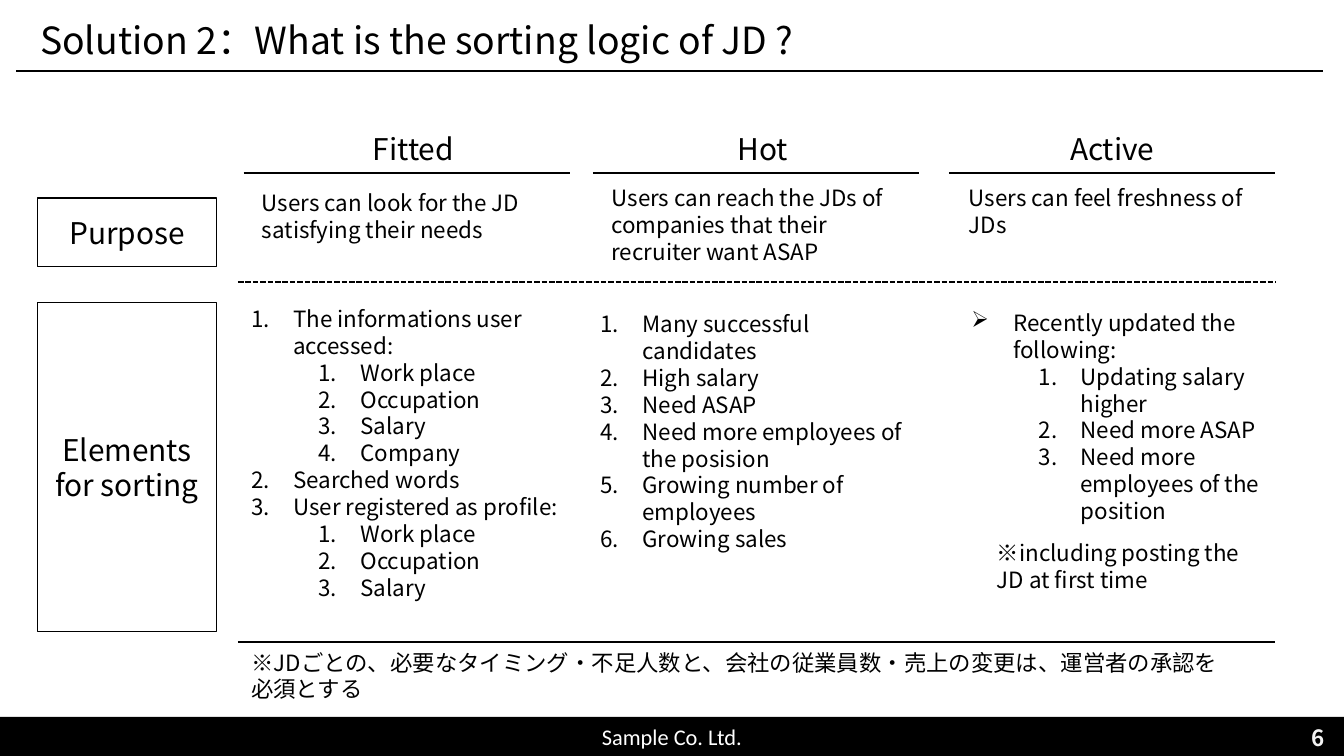
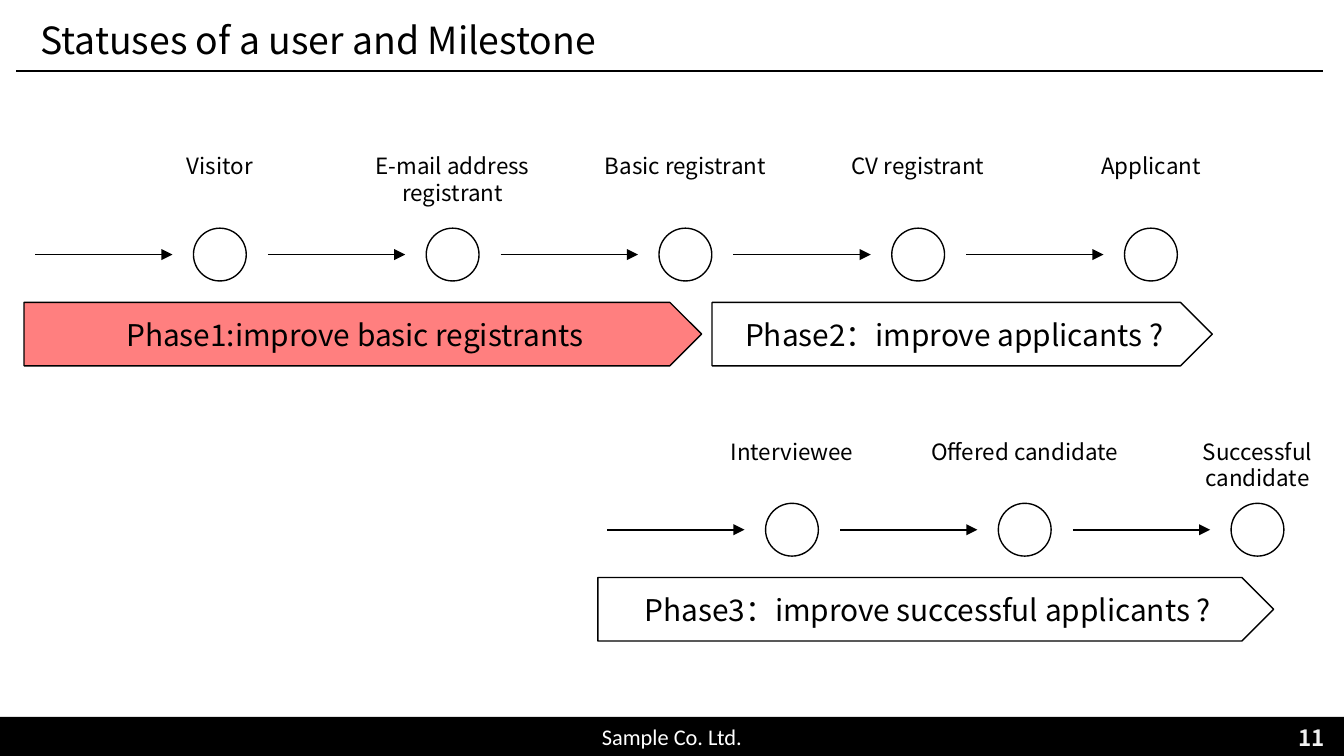
from pptx import Presentation
from pptx.dml.color import RGBColor
from pptx.enum.dml import MSO_LINE
from pptx.enum.shapes import MSO_CONNECTOR, MSO_SHAPE
from pptx.enum.text import MSO_ANCHOR, PP_ALIGN
from pptx.oxml.ns import qn
from pptx.util import Pt
from lxml.etree import SubElement

RECT, OVAL, PLATE = MSO_SHAPE.RECTANGLE, MSO_SHAPE.OVAL, MSO_SHAPE.PENTAGON
LEFT, MID, RIGHT = PP_ALIGN.LEFT, PP_ALIGN.CENTER, PP_ALIGN.RIGHT
TOP, CENTER = MSO_ANCHOR.TOP, MSO_ANCHOR.MIDDLE
DASH = MSO_LINE.SQUARE_DOT
STRAIGHT = MSO_CONNECTOR.STRAIGHT
WIDTH, HEIGHT = 720, 405
FONT, LATIN = "Noto Sans CJK JP", "Calibri"
BLACK, WHITE, PALE, RED = "000000", "FFFFFF", "F2F2F2", "FF0000"
BODY, HEAD, TITLE = 12, 16, 20
LEAD = 1.2
HANG, STEP = 22.5, 36
NUM, ARROW = "num", "➢"


def color(code):
    return RGBColor.from_string(code)


def assign(item, values):
    for name, value in values.items():
        setattr(item, name, value)


def write(shape, lines, size=BODY, align=LEFT, anchor=TOP, ink=BLACK,
          font=FONT, bold=False, wrap=True):
    """Fill a shape with one paragraph per line, all in one style."""
    frame = shape.text_frame
    assign(frame, {"word_wrap": wrap, "vertical_anchor": anchor})
    for i, line in enumerate(lines):
        par = frame.paragraphs[0] if i == 0 else frame.add_paragraph()
        assign(par, {"alignment": align, "line_spacing": Pt(size * LEAD)})
        run = par.add_run()
        run.text = line
        assign(run.font, {"name": font, "size": Pt(size), "bold": bold})
        run.font.color.rgb = color(ink)
        for tag in ("a:ea", "a:cs"):
            SubElement(run.font._element, qn(tag), typeface=font)


def label(slide, box, lines, **style):
    shape = slide.shapes.add_textbox(*map(Pt, box))
    write(shape, lines, **style)
    return shape


def block(slide, kind, box, fill=WHITE, alpha=None, edge=BLACK):
    shape = slide.shapes.add_shape(kind, *map(Pt, box))
    shape.shadow.inherit = False
    shape.fill.solid()
    shape.fill.fore_color.rgb = color(fill)
    if alpha:
        tint = shape._element.spPr.find(qn("a:solidFill"))[0]
        SubElement(tint, qn("a:alpha"), val=str(alpha * 1000))
    if edge:
        shape.line.color.rgb = color(edge)
        shape.line.width = Pt(0.75)
    else:
        shape.line.fill.background()
    return shape


def rule(slide, x, y, width, weight=1, dash=None, head=False):
    """Draw a level line, with an arrowhead at its right end if asked."""
    line = slide.shapes.add_connector(STRAIGHT, Pt(x), Pt(y), Pt(x + width), Pt(y))
    line.line.color.rgb = color(BLACK)
    assign(line.line, {"width": Pt(weight), "dash_style": dash})
    if head:
        SubElement(line.line._ln, qn("a:tailEnd"), type="triangle")
    SubElement(line._element.spPr, qn("a:effectLst"))


def outline(slide, box, items):
    """Write a list of (level, mark, text) with hanging marks."""
    shape = label(slide, box, [text for _, _, text in items])
    for par, (level, mark, _) in zip(shape.text_frame.paragraphs, items):
        par.level = level
        props = par._p.get_or_add_pPr()
        props.set("marL", str(Pt(HANG + level * STEP)))
        props.set("indent", str(-Pt(HANG)))
        if mark == NUM:
            SubElement(props, qn("a:buFont"), typeface=FONT)
            SubElement(props, qn("a:buAutoNum"), type="arabicPeriod")
        else:
            SubElement(props, qn("a:buChar"), char=mark)


def start(deck, title, page):
    """Add a slide with the shared title, rule and footer."""
    slide = deck.slides.add_slide(deck.slide_layouts[6])
    band = block(slide, RECT, (0, 384, WIDTH, 21), BLACK, edge=None)
    write(band, ["Sample Co. Ltd."], align=MID, anchor=CENTER, ink=WHITE, font=LATIN)
    rule(slide, 8.6, 38, 700, 0.75)
    label(slide, (14.4, 4.3, 590, 33.8), [title], size=TITLE, anchor=CENTER)
    label(slide, (548.6, 384.5, 168, 21.6), [str(page)], align=RIGHT,
          anchor=CENTER, ink=PALE, bold=True)
    return slide


def tag(slide, box, text):
    write(block(slide, RECT, box), [text], size=HEAD, align=MID, anchor=CENTER)


def column(slide, x, y, head, aim, items):
    """Place one column; head, aim and items carry their own offsets."""
    name, shift = head
    label(slide, (x + shift, y, 175, 26.6), [name], size=HEAD, align=MID)
    rule(slide, x, y + 26.6, 175)
    dx, dy, text = aim
    label(slide, (x + dx, y + dy, 170, 36), [text])
    dx, dy, width, height, rows = items
    outline(slide, (x + dx, y + dy, width, height), rows)


def sorting(deck):
    slide = start(deck, "Solution 2：What is the sorting logic of JD ?", 6)
    tag(slide, (20, 106, 96, 36.7), "Purpose")
    tag(slide, (20, 162, 96, 176.4), "Elements for sorting")
    places = ["Work place", "Occupation", "Salary"]
    fitted = [(0, NUM, "The informations user accessed:"),
              *[(1, NUM, text) for text in places + ["Company"]],
              (0, NUM, "Searched words"),
              (0, NUM, "User registered as profile:"),
              *[(1, NUM, text) for text in places]]
    hot = [(0, NUM, text) for text in (
        "Many successful candidates", "High salary", "Need ASAP",
        "Need more employees of the posision",
        "Growing number of employees", "Growing sales")]
    active = [(0, ARROW, "Recently updated the following:"),
              *[(1, NUM, text) for text in (
                  "Updating salary higher", "Need more ASAP",
                  "Need more employees of the position")]]
    top = 66.3
    column(slide, 130.5, top, ("Fitted", 3.5),
           (2.7, 31.6, "Users can look for the JD satisfying their needs"),
           (-3, 93.6, 179.5, 181.4, fitted))
    column(slide, 317.6, top, ("Hot", 3.5),
           (2.9, 28.7, "Users can reach the JDs of companies that their "
                       "recruiter want ASAP"),
           (-3, 96.4, 181.4, 138.2, hot))
    column(slide, 508.3, top, ("Active", 0),
           (3.6, 28.7, "Users can feel freshness of JDs"),
           (5, 95.7, 181.4, 123.8, active))
    label(slide, (527, 285.1, 156.2, 36), ["※including posting the JD at first time"])
    left, span = 127.5, 555.8
    rule(slide, left, 151.3, span, dash=DASH)
    rule(slide, left, 344, span)
    label(slide, (left, 344, 538.6, 36), [
        "※JDごとの、必要なタイミング・不足人数と、会社の従業員数・売上の変更は、運営者の承認を必須とする"])


def flow(slide, x, y, drop, stages):
    """Place a row of arrows and circles; drop is from label top to axis."""
    size, pitch, lead = 28.3, 124.7, 99
    for i, (width, lines) in enumerate(stages):
        left = x + i * pitch
        rule(slide, left, y + drop, 73.6, head=True)
        block(slide, OVAL, (left + lead - size / 2, y + drop - size / 2, size, size))
        high = 7.2 + BODY * LEAD * len(lines)
        label(slide, (left + lead - width / 2, y, width, high), lines,
              align=MID, wrap=False)


def phase(slide, x, y, width, text, **paint):
    shape = block(slide, PLATE, (x, y, width, 34), **paint)
    write(shape, [text], size=HEAD, align=MID, anchor=CENTER)


def milestone(deck):
    slide = start(deck, "Statuses of a user and Milestone", 11)
    flow(slide, 18.8, 77.8, 58.6, [
        (52, ["Visitor"]), (102, ["E-mail address", "registrant"]),
        (106.5, ["Basic registrant"]), (92, ["CV registrant"]),
        (69, ["Applicant"])])
    flow(slide, 325.3, 231, 52.8, [
        (85, ["Interviewee"]), (119.5, ["Offered candidate"]),
        (75.5, ["Successful", "candidate"])])
    phase(slide, 12.9, 162, 363, "Phase1:improve basic registrants",
          fill=RED, alpha=50)
    phase(slide, 381.5, 162, 268, "Phase2：improve applicants ?")
    phase(slide, 320.3, 309.4, 362, "Phase3：improve successful applicants ?")


def main():
    deck = Presentation()
    assign(deck, {"slide_width": Pt(WIDTH), "slide_height": Pt(HEIGHT)})
    sorting(deck)
    milestone(deck)
    deck.save("out.pptx")


if __name__ == "__main__":
    main()
